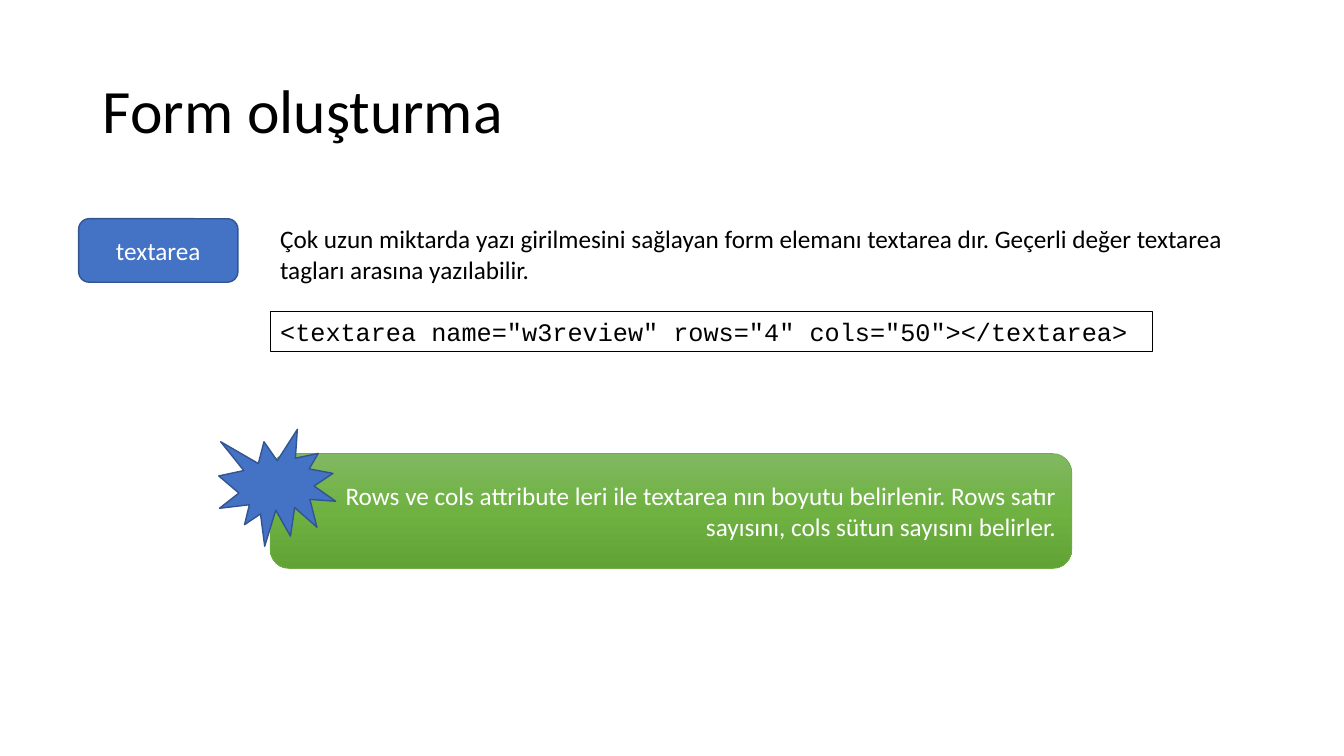
from copy import deepcopy

from pptx import Presentation
from pptx.dml.color import RGBColor
from pptx.enum.shapes import MSO_SHAPE
from pptx.enum.text import MSO_ANCHOR, MSO_AUTO_SIZE, PP_ALIGN
from pptx.oxml.ns import qn
from pptx.util import Inches, Pt

BLACK = RGBColor(0x00, 0x00, 0x00)
WHITE = RGBColor(0xFF, 0xFF, 0xFF)
BLUE = RGBColor(0x44, 0x72, 0xC4)
DARK_BLUE = RGBColor(0x32, 0x54, 0x91)
GREEN = RGBColor(0x70, 0xAD, 0x47)
GREEN_STOPS = [
    (0, RGBColor(0x81, 0xB8, 0x61)),
    (0.5, RGBColor(0x6F, 0xB2, 0x42)),
    (1, RGBColor(0x62, 0xA3, 0x36)),
]

RECT = MSO_SHAPE.RECTANGLE
ROUNDED = MSO_SHAPE.ROUNDED_RECTANGLE
BURST = MSO_SHAPE.EXPLOSION1
TOP, MIDDLE = MSO_ANCHOR.TOP, MSO_ANCHOR.MIDDLE
LEFT, CENTER, RIGHT = PP_ALIGN.LEFT, PP_ALIGN.CENTER, PP_ALIGN.RIGHT
NO_AUTOFIT = MSO_AUTO_SIZE.NONE

BODY_LEFT = 2.68


class SlideBuilder:
    font = "Calibri"
    code_font = "Courier New"
    size = 18

    def __init__(self, prs):
        self.s = prs.slides.add_slide(prs.slide_layouts[6])

    def label(self, sp, text, anchor=TOP, align=LEFT, spacing=1.0, **font):
        """Put one formatted paragraph into a shape."""
        tf = sp.text_frame
        p = tf.paragraphs[0]
        r = p.add_run()
        r.text = text
        look = {"name": self.font, "size": Pt(self.size), **font}
        color = look.pop("color", BLACK)
        formats = [
            (tf, {"word_wrap": True, "auto_size": NO_AUTOFIT,
                  "vertical_anchor": anchor}),
            (p, {"alignment": align, "line_spacing": spacing}),
            (r.font, look),
        ]
        for target, values in formats:
            for name, value in values.items():
                setattr(target, name, value)
        r.font.color.rgb = color

    def text(self, box, text, **style):
        sp = self.s.shapes.add_textbox(*map(Inches, box))
        self.label(sp, text, **style)

    def shape(self, kind, box, fill, line, width=1):
        """Add a preset shape; fill is a colour or a list of gradient stops."""
        sp = self.s.shapes.add_shape(kind, *map(Inches, box))
        sp.shadow.inherit = False
        if isinstance(fill, list):
            self.gradient(sp, fill)
        else:
            sp.fill.solid()
            sp.fill.fore_color.rgb = fill
        sp.line.color.rgb = line
        sp.line.width = Pt(width)
        return sp

    def gradient(self, sp, stops):
        """Fill from top to bottom with any number of stops."""
        sp.fill.gradient()
        sp.fill.gradient_angle = 270
        gs_list = sp.fill.gradient_stops
        gs_xml = sp._element.spPr.find(".//" + qn("a:gsLst"))
        while len(gs_list) < len(stops):
            gs_xml.append(deepcopy(gs_xml[0]))
        for gs, (position, color) in zip(gs_list, stops):
            gs.position = position
            gs.color.rgb = color


def main():
    prs = Presentation()
    prs.slide_width, prs.slide_height = Inches(13.33), Inches(7.5)
    b = SlideBuilder(prs)

    b.text((0.92, 0.4, 11.5, 1.45), "Form oluşturma",
           anchor=MIDDLE, spacing=0.9, size=Pt(44))

    code = b.shape(RECT, (BODY_LEFT, 3.09, 8.75, 0.4), WHITE, BLACK)
    b.label(code, '<textarea name="w3review" rows="4" cols="50"></textarea>',
            name=b.code_font)

    tag = b.shape(ROUNDED, (0.78, 2.17, 1.58, 0.63), BLUE, DARK_BLUE)
    b.label(tag, "textarea", anchor=MIDDLE, align=CENTER, color=WHITE)

    b.text((BODY_LEFT, 2.17, 9.62, 0.71),
           "Çok uzun miktarda yazı girilmesini sağlayan form elemanı textarea "
           "dır. Geçerli değer textarea tagları arasına yazılabilir.")

    note = b.shape(ROUNDED, (BODY_LEFT, 4.5, 7.95, 1.14), GREEN_STOPS, GREEN, 0.5)
    b.label(note,
            "Rows ve cols attribute leri ile textarea nın boyutu belirlenir. "
            "Rows satır sayısını, cols sütun sayısını belirler.",
            anchor=MIDDLE, align=RIGHT, color=WHITE)

    b.shape(BURST, (2.17, 4.26, 1.16, 1.16), BLUE, DARK_BLUE)

    prs.save("out.pptx")


if __name__ == "__main__":
    main()
